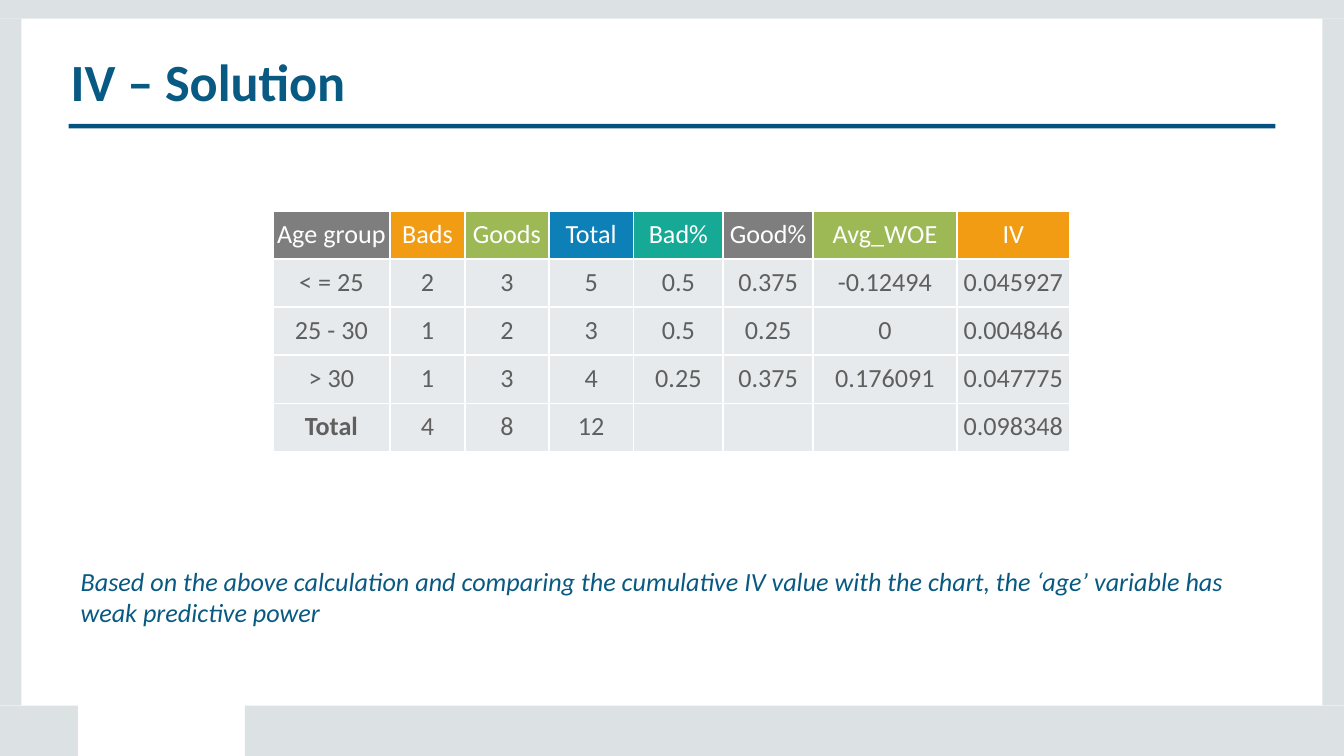
from lxml import etree
from pptx import Presentation
from pptx.dml.color import RGBColor
from pptx.enum import shapes, text
from pptx.oxml.ns import qn
from pptx.util import Pt

WHITE = RGBColor(0xFF, 0xFF, 0xFF)
FRAME = RGBColor(0xDC, 0xE2, 0xE3)
NAVY = RGBColor(0x09, 0x5A, 0x82)
RULE = RGBColor(0x05, 0x51, 0x80)
BODY = RGBColor(0x5F, 0x5F, 0x5F)
CELL = RGBColor(0xE7, 0xEA, 0xEC)
GREY = RGBColor(0x7E, 0x7E, 0x7E)
ORANGE = RGBColor(0xF1, 0x9C, 0x13)
GREEN = RGBColor(0x9C, 0xB9, 0x55)
BLUE = RGBColor(0x0D, 0x80, 0xB8)
TEAL = RGBColor(0x16, 0xA9, 0x95)

FONT = "Calibri"
SLIDE_W, SLIDE_H = 720, 405

# Heading, heading fill, column width
COLUMNS = [
    ("Age group", GREY, 62.7), ("Bads", ORANGE, 40.3),
    ("Goods", GREEN, 44.8), ("Total", BLUE, 45.5),
    ("Bad%", TEAL, 48), ("Good%", GREY, 48.2),
    ("Avg_WOE", GREEN, 77), ("IV", ORANGE, 60.5),
]
ROWS = [
    ["< = 25", "2", "3", "5", "0.5", "0.375", "-0.12494", "0.045927"],
    ["25 - 30", "1", "2", "3", "0.5", "0.25", "0", "0.004846"],
    ["> 30", "1", "3", "4", "0.25", "0.375", "0.176091", "0.047775"],
    ["Total", "4", "8", "12", "", "", "", "0.098348"],
]
CONCLUSION = [
    "Based on the above calculation and comparing the cumulative IV value "
    "with the chart, the ‘age’ variable has",
    "weak predictive power",
]


def add_bar(s, x, y, w, h, color):
    sp = s.shapes.add_shape(shapes.MSO_SHAPE.RECTANGLE, Pt(x), Pt(y), Pt(w), Pt(h))
    sp.shadow.inherit = False
    sp.fill.solid()
    sp.fill.fore_color.rgb = color
    sp.line.fill.background()


def add_run(p, words, size, color, bold=False, italic=False):
    r = p.add_run()
    r.text = words
    r.font.name = FONT
    r.font.size = Pt(size)
    r.font.color.rgb = color
    r.font.bold = bold
    r.font.italic = italic


def add_text(s, x, y, w, h, lines, size, **style):
    tf = s.shapes.add_textbox(Pt(x), Pt(y), Pt(w), Pt(h)).text_frame
    tf.word_wrap = True
    tf.margin_left = tf.margin_right = tf.margin_bottom = 0
    tf.margin_top = Pt(1)
    for i, line in enumerate(lines):
        p = tf.add_paragraph() if i else tf.paragraphs[0]
        add_run(p, line, size, NAVY, **style)


def add_frame(s, x, y, w, h):
    """Grey border with a white gap for the tab in the bottom edge."""
    top, side, bottom = 10, 11.5, 27
    tab_left, tab_right = 41.8, 131.2
    inner = h - top - bottom
    for left, up, width, height in [
        (0, 0, w, top),
        (0, top, side, inner),
        (w - side, top, side, inner),
        (0, h - bottom, tab_left, bottom),
        (tab_right, h - bottom, w - tab_right, bottom),
    ]:
        add_bar(s, x + left, y + up, width, height, FRAME)


def add_title(s, x, y, w):
    add_text(s, x + 1.2, y, w - 1.2, 35, ["IV – Solution"], 28, bold=True)
    add_bar(s, x, y + 41.2, w, 2.4, RULE)


def set_borders(cell):
    tcPr = cell._tc.get_or_add_tcPr()
    for i, side in enumerate(("a:lnL", "a:lnR", "a:lnT", "a:lnB")):
        ln = etree.Element(qn(side), w=str(Pt(1)))
        fill = etree.SubElement(ln, qn("a:solidFill"))
        etree.SubElement(fill, qn("a:srgbClr"), val=str(WHITE))
        tcPr.insert(i, ln)


def fill_cell(cell, words, fill, color, bold):
    cell.margin_left = cell.margin_right = cell.margin_bottom = 0
    cell.margin_top = Pt(4.1 if words else 0)
    cell.fill.solid()
    cell.fill.fore_color.rgb = fill
    set_borders(cell)
    if words:
        p = cell.text_frame.paragraphs[0]
        p.alignment = text.PP_ALIGN.CENTER
        add_run(p, words, 14, color, bold)


def add_iv_table(s, x, y, w, h):
    grid = [[name for name, _, _ in COLUMNS]] + ROWS
    table = s.shapes.add_table(len(grid), len(COLUMNS), Pt(x), Pt(y), Pt(w), Pt(h)).table
    for col, (_, _, width) in zip(table.columns, COLUMNS):
        col.width = Pt(width)
    for i, values in enumerate(grid):
        table.rows[i].height = Pt(h / len(grid))
        for j, words in enumerate(values):
            fill, color = (CELL, BODY) if i else (COLUMNS[j][1], WHITE)
            bold = i == len(grid) - 1 and j == 0
            fill_cell(table.cell(i, j), words, fill, color, bold)


def main():
    prs = Presentation()
    prs.slide_width, prs.slide_height = Pt(SLIDE_W), Pt(SLIDE_H)
    s = prs.slides.add_slide(prs.slide_layouts[6])
    add_frame(s, 0, 0, SLIDE_W, SLIDE_H)
    add_title(s, 36.7, 25.2, 646.6)
    add_iv_table(s, 146.2, 112.9, 427, 129)
    add_text(s, 43.2, 301.7, 620, 36, CONCLUSION, 14, italic=True)
    prs.save("out.pptx")


if __name__ == "__main__":
    main()
